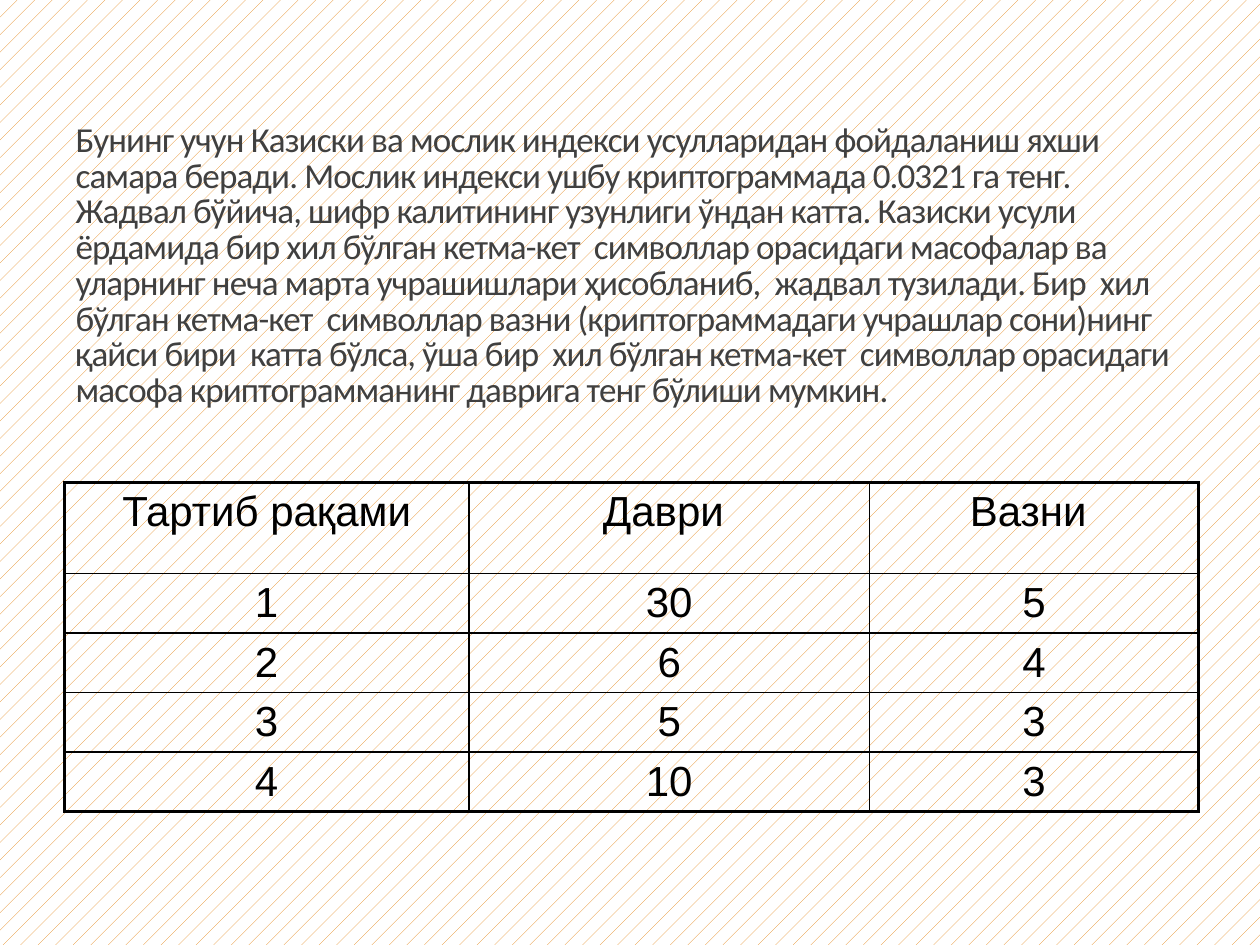
"""Build a slide with an explanatory title and a table of periods and weights."""
import pptx
import pptx.dml.color
import pptx.enum.dml
import pptx.enum.text
import pptx.oxml.ns
import pptx.util
from lxml import etree
from pptx.util import Cm, Pt

COLOURS = {"accent": "E48312", "paper": "FFFFFF", "title": "404040", "ink": "000000"}
TITLE = (
    "Бунинг учун Казиски ва мослик индекси усулларидан фойдаланиш яхши самара беради. "
    "Мослик индекси ушбу криптограммада 0.0321 га тенг. "
    "Жадвал бўйича, шифр калитининг узунлиги ўндан катта. "
    "Казиски усули ёрдамида бир хил бўлган кетма-кет  символлар орасидаги масофалар ва "
    "уларнинг неча марта учрашишлари ҳисобланиб,  жадвал тузилади. "
    "Бир  хил бўлган кетма-кет  символлар вазни (криптограммадаги учрашлар сони)нинг "
    "қайси бири  катта бўлса, ўша бир  хил бўлган кетма-кет  символлар орасидаги "
    "масофа криптограмманинг даврига тенг бўлиши мумкин."
)
ROWS = [
    ("Тартиб рақами", "Даври ", "Вазни "),
    ("1", "30", "5"),
    ("2", "6", "4"),
    ("3", "5", "3"),
    ("4", "10", "3"),
]
COLUMN_WIDTHS = [Cm(8.15), Cm(8.08), Cm(6.63)]
HEADER_HEIGHT, ROW_HEIGHT = Cm(1.83), Cm(1.12)
THICK, THIN = Pt(2), Pt(1)


def colour(name):
    return pptx.dml.color.RGBColor.from_string(COLOURS[name])


def add_run(paragraph, text, font_name, size, colour_name):
    run = paragraph.add_run()
    run.text = text
    run.font.name = font_name
    run.font.size = Pt(size)
    run.font.color.rgb = colour(colour_name)
    return run


def set_background(slide):
    fill = slide.background.fill
    fill.patterned()
    fill.pattern = pptx.enum.dml.MSO_PATTERN.PERCENT_5
    fill.fore_color.rgb = colour("accent")
    fill.back_color.rgb = colour("paper")


def fill_title(slide):
    title = slide.shapes.title
    title.left, title.top, title.width, title.height = Cm(1.27), Cm(0.76), Cm(22.86), Cm(8.36)
    frame = title.text_frame
    frame.word_wrap = True
    frame.auto_size = pptx.enum.text.MSO_AUTO_SIZE.NONE
    frame.vertical_anchor = pptx.enum.text.MSO_ANCHOR.BOTTOM
    frame.margin_bottom = Cm(0.86)
    paragraph = frame.paragraphs[0]
    paragraph.alignment = pptx.enum.text.PP_ALIGN.LEFT
    paragraph.line_spacing = 0.85
    paragraph.space_before = Pt(0)
    run = add_run(paragraph, TITLE, "Calibri", 20, "title")
    run.font.bold = False
    run.font._element.set("spc", "-50")


def set_borders(cell, widths):
    properties = cell._tc.get_or_add_tcPr()
    for side, width in widths.items():
        line = etree.SubElement(properties, pptx.oxml.ns.qn(f"a:ln{side}"), w=str(width))
        solid = etree.SubElement(line, pptx.oxml.ns.qn("a:solidFill"))
        etree.SubElement(solid, pptx.oxml.ns.qn("a:srgbClr"), val=COLOURS["ink"])


def add_period_table(slide):
    last_row, last_column = len(ROWS) - 1, len(COLUMN_WIDTHS) - 1
    height = HEADER_HEIGHT + last_row * ROW_HEIGHT
    table = slide.shapes.add_table(
        len(ROWS), len(COLUMN_WIDTHS), Cm(1.3), Cm(9.73), sum(COLUMN_WIDTHS), height
    ).table
    table.first_row = table.horz_banding = False
    for column, width in zip(table.columns, COLUMN_WIDTHS):
        column.width = width
    for row_index, texts in enumerate(ROWS):
        table.rows[row_index].height = ROW_HEIGHT if row_index else HEADER_HEIGHT
        for column_index, text in enumerate(texts):
            cell = table.cell(row_index, column_index)
            set_borders(cell, {
                "L": THICK if column_index == 0 else THIN,
                "R": THICK if column_index == last_column else THIN,
                "T": THICK if row_index == 0 else THIN,
                "B": THICK if row_index == last_row else THIN,
            })
            cell.fill.background()
            paragraph = cell.text_frame.paragraphs[0]
            paragraph.alignment = pptx.enum.text.PP_ALIGN.CENTER
            add_run(paragraph, text, "Arial", 24, "ink")


def main():
    presentation = pptx.Presentation()
    presentation.slide_width, presentation.slide_height = Cm(25.4), Cm(19.05)
    slide = presentation.slides.add_slide(presentation.slide_layouts[5])
    set_background(slide)
    fill_title(slide)
    add_period_table(slide)
    presentation.save("out.pptx")


if __name__ == "__main__":
    main()
